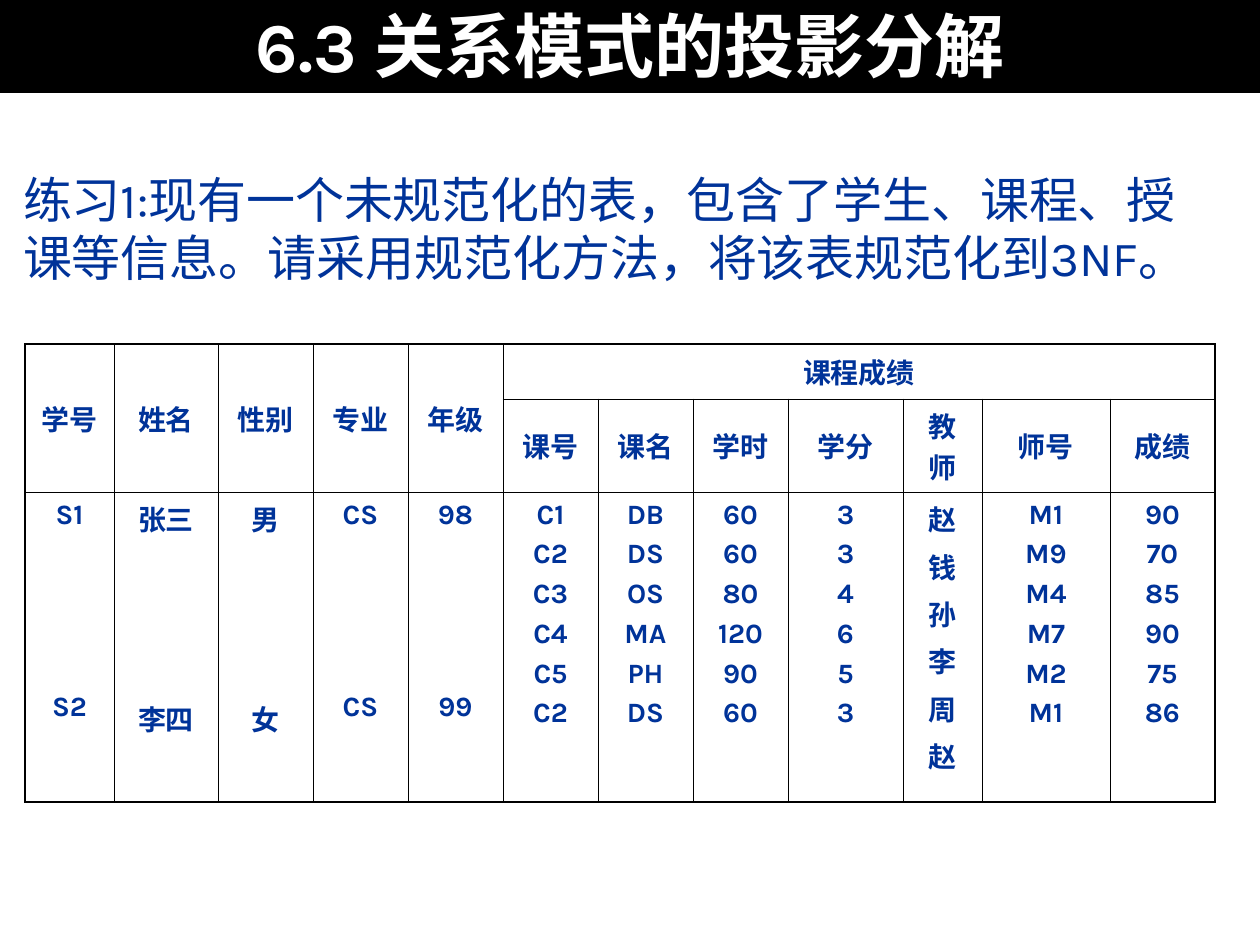
import dataclasses

import lxml.etree
import pptx
import pptx.dml.color
import pptx.enum.text
import pptx.oxml.ns
import pptx.util

ALIGN = pptx.enum.text.PP_ALIGN
ANCHOR = pptx.enum.text.MSO_ANCHOR
EMU_PER_PX = 914400 / 126


@dataclasses.dataclass(frozen=True)
class Theme:
    font: str = "Karla"
    band: str = "000000"
    heading: str = "FFFFFF"
    text: str = "003399"
    grid: str = "000000"
    heading_size: int = 40
    exercise_size: int = 28
    table_size: int = 16
    outer_line: float = 1.08
    inner_line: float = 0.45
    no_grid_style: str = "{2D5ABB26-0587-4C30-8999-92F81FD0307C}"


def px(length):
    return pptx.util.Emu(round(length * EMU_PER_PX))


def rgb(color):
    return pptx.dml.color.RGBColor.from_string(color)


def apply(target, values):
    for name, value in values.items():
        setattr(target, name, value)


class SlideBuilder:
    def __init__(self, slide, theme):
        self.slide = slide
        self.theme = theme

    def line_of_text(self, paragraph, text, size, color, bold, **layout):
        paragraph.text = text
        apply(paragraph, layout)
        font = paragraph.runs[0].font
        apply(font, {"name": self.theme.font, "size": pptx.util.Pt(size), "bold": bold})
        font.color.rgb = rgb(color)

    def frame(self, shape, anchor, side_inset):
        apply(shape.text_frame, {
            "word_wrap": True,
            "auto_size": pptx.enum.text.MSO_AUTO_SIZE.NONE,
            "vertical_anchor": anchor,
            "margin_left": px(side_inset),
            "margin_right": px(side_inset),
        })
        return shape.text_frame.paragraphs[0]

    def title(self, text, left, top, width, height):
        band = self.slide.shapes.title
        apply(band, {"left": px(left), "top": px(top),
                     "width": px(width), "height": px(height)})
        band.fill.solid()
        band.fill.fore_color.rgb = rgb(self.theme.band)
        self.line_of_text(self.frame(band, ANCHOR.TOP, 25), text,
                          self.theme.heading_size, self.theme.heading, True,
                          alignment=ALIGN.CENTER)

    def exercise(self, text, left, top, width, height):
        box = self.slide.shapes.add_textbox(px(left), px(top), px(width), px(height))
        self.line_of_text(self.frame(box, ANCHOR.BOTTOM, 13), text,
                          self.theme.exercise_size, self.theme.text, False,
                          alignment=ALIGN.LEFT)

    def table(self, left, top, widths, heights):
        grid = self.slide.shapes.add_table(
            len(heights), len(widths), px(left), px(top),
            px(sum(widths)), px(sum(heights))).table
        apply(grid, {"first_row": False, "horz_banding": False})
        style = grid._tbl.tblPr.find(pptx.oxml.ns.qn("a:tableStyleId"))
        style.text = self.theme.no_grid_style
        for column, width in zip(grid.columns, widths):
            column.width = px(width)
        for row, height in zip(grid.rows, heights):
            row.height = px(height)
        return grid

    def cell(self, grid, row, column, lines, rows=1, columns=1,
             anchor=ANCHOR.MIDDLE, gap=4):
        cell = grid.cell(row, column)
        last_row, last_column = row + rows, column + columns
        if rows * columns > 1:
            cell.merge(grid.cell(last_row - 1, last_column - 1))
        cell.vertical_anchor = anchor
        for index, line in enumerate(lines):
            frame = cell.text_frame
            paragraph = frame.add_paragraph() if index else frame.paragraphs[0]
            self.line_of_text(paragraph, line, self.theme.table_size,
                              self.theme.text, True, alignment=ALIGN.CENTER,
                              space_before=pptx.util.Pt(gap if index else 0))
        self.borders(cell, {
            "lnL": column == 0,
            "lnR": last_column == len(grid.columns),
            "lnT": row == 0,
            "lnB": last_row == len(grid.rows),
        })
        cell.fill.background()

    def borders(self, cell, outer_sides):
        qn = pptx.oxml.ns.qn
        properties = cell._tc.get_or_add_tcPr()
        for side, outer in outer_sides.items():
            width = self.theme.outer_line if outer else self.theme.inner_line
            line = lxml.etree.SubElement(properties, qn(f"a:{side}"),
                                         w=str(int(pptx.util.Pt(width))))
            fill = lxml.etree.SubElement(line, qn("a:solidFill"))
            lxml.etree.SubElement(fill, qn("a:srgbClr"), val=self.theme.grid)


STUDENTS = {
    "学号": ["S1", "S2"],
    "姓名": ["张三", "李四"],
    "性别": ["男", "女"],
    "专业": ["CS", "CS"],
    "年级": ["98", "99"],
}
COURSES = {
    "课号": ["C1", "C2", "C3", "C4", "C5", "C2"],
    "课名": ["DB", "DS", "OS", "MA", "PH", "DS"],
    "学时": ["60", "60", "80", "120", "90", "60"],
    "学分": ["3", "3", "4", "6", "5", "3"],
    "教师": ["赵", "钱", "孙", "李", "周", "赵"],
    "师号": ["M1", "M9", "M4", "M7", "M2", "M1"],
    "成绩": ["90", "70", "85", "90", "75", "86"],
}
COLUMN_WIDTHS = [89, 104] + [95] * 6 + [115, 79, 128, 105]
ROW_HEIGHTS = [55, 91, 310]
SECOND_STUDENT_GAP = 91


def main():
    deck = pptx.Presentation()
    apply(deck, {"slide_width": px(1260), "slide_height": px(945)})
    builder = SlideBuilder(deck.slides.add_slide(deck.slide_layouts[5]), Theme())

    builder.title("6.3 关系模式的投影分解", 0, -4, 1260, 97)
    builder.exercise("练习1:现有一个未规范化的表，包含了学生、课程、授课等信息。"
                     "请采用规范化方法，将该表规范化到3NF。", 10, 55, 1226, 238)

    scores = builder.table(25, 344, COLUMN_WIDTHS, ROW_HEIGHTS)
    for column, (heading, values) in enumerate(STUDENTS.items()):
        builder.cell(scores, 0, column, [heading], rows=2)
        builder.cell(scores, 2, column, values, anchor=ANCHOR.TOP,
                     gap=SECOND_STUDENT_GAP)
    builder.cell(scores, 0, len(STUDENTS), ["课程成绩"], columns=len(COURSES))
    for column, (heading, values) in enumerate(COURSES.items(), len(STUDENTS)):
        builder.cell(scores, 1, column, [heading])
        builder.cell(scores, 2, column, values, anchor=ANCHOR.TOP)

    deck.save("out.pptx")


if __name__ == "__main__":
    main()
